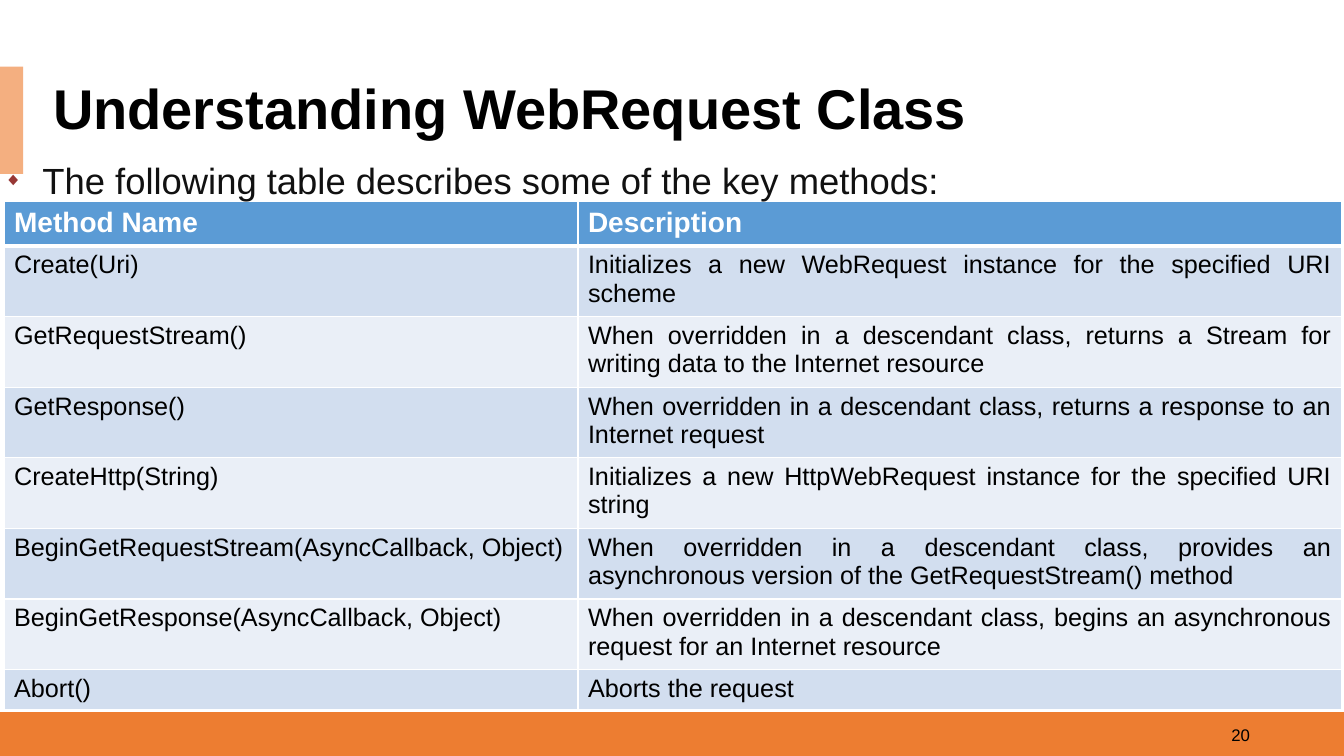
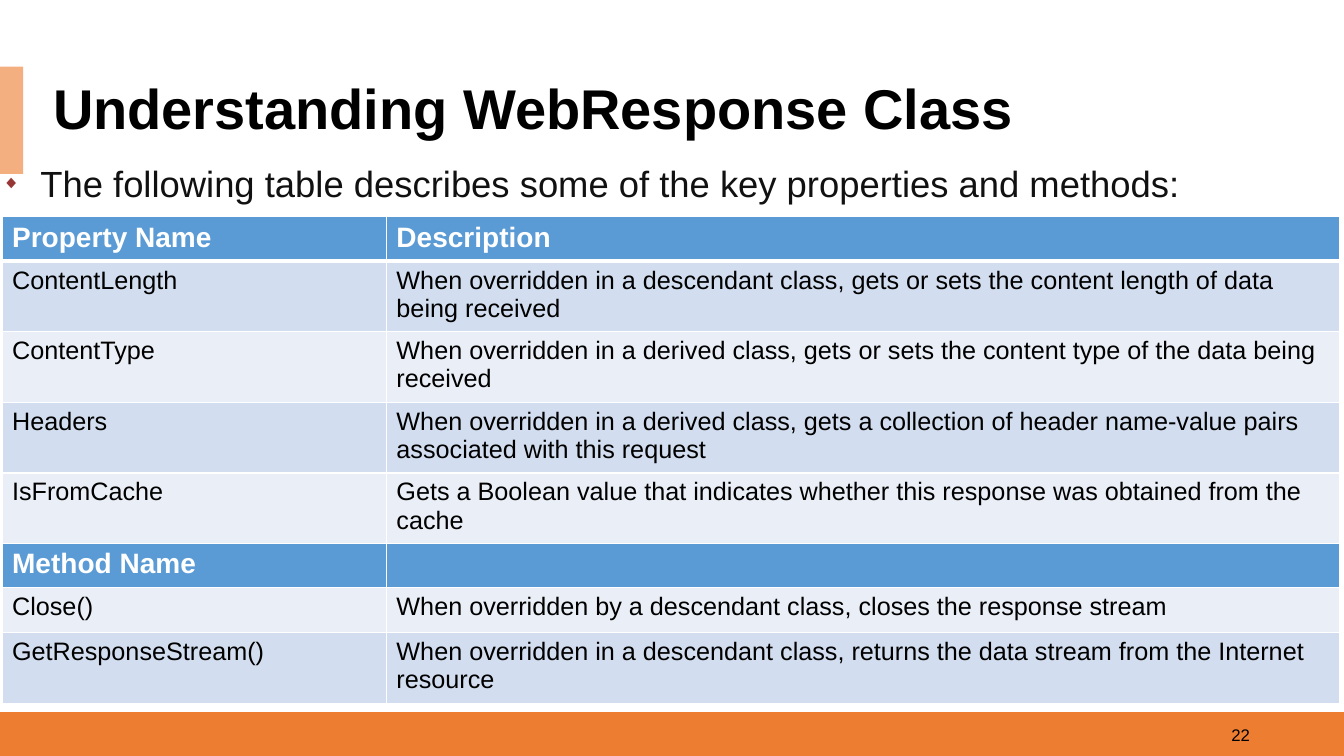
from dataclasses import dataclass

import pptx
import pptx.dml.color
import pptx.enum.shapes
import pptx.enum.text
import pptx.oxml
import pptx.oxml.ns
import pptx.oxml.xmlchemy
import pptx.presentation
import pptx.shapes.autoshape
import pptx.slide
import pptx.table
import pptx.text.text
import pptx.util

RGBColor = pptx.dml.color.RGBColor
ORANGE = RGBColor(0xED, 0x7D, 0x31)
PEACH = RGBColor(0xF4, 0xAF, 0x80)
BLUE = RGBColor(0x5B, 0x9B, 0xD5)
PALE_BLUE = RGBColor(0xD2, 0xDE, 0xEF)
ICE_BLUE = RGBColor(0xEA, 0xEF, 0xF7)
WHITE = RGBColor(0xFF, 0xFF, 0xFF)
BLACK = RGBColor(0x00, 0x00, 0x00)
INK = RGBColor(0x11, 0x11, 0x11)
BULLET_RED = RGBColor(0x97, 0x37, 0x35)

FONT = "Arial"
SLIDE_WIDTH = pptx.util.Inches(13.33)
SLIDE_HEIGHT = pptx.util.Inches(7.5)
ALIGN = pptx.enum.text.PP_ALIGN
ANCHOR = pptx.enum.text.MSO_ANCHOR

# Row heights, in percent of the slide's height
HEADER = 5.87
SUBHEADER = 5.6
TWO_LINES = 8.8
LOOSE_LINE = 6
ONE_LINE = 4.93


@dataclass(frozen=True)
class Box:
    """A rectangle in percent of the slide's width and height."""
    left: float
    top: float
    width: float
    height: float

    def lengths(self) -> tuple[int, int, int, int]:
        return (across(self.left), down(self.top),
                across(self.width), down(self.height))


@dataclass(frozen=True)
class Row:
    name: str
    description: str
    height: float = TWO_LINES
    is_heading: bool = False


@dataclass(frozen=True)
class ClassSlide:
    number: int
    title: str
    lead: str
    lead_box: Box
    table_left: float
    table_top: float
    column_widths: tuple[float, float]
    alignment: ALIGN
    rows: tuple[Row, ...]


FOOTER_BAND = Box(0, 94.2, 100, 5.8)
TITLE_ACCENT = Box(0, 8.8, 1.73, 14.2)
NUMBER_BOX = Box(71.25, 94.53, 22.5, 5.33)
TITLE_BOX = Box(3.2, 10.53, 95.85, 8.4)

CLASS_SLIDES = (
    ClassSlide(
        20, "Understanding WebRequest Class",
        "The following table describes some of the key methods:",
        Box(-0.45, 20.27, 77.1, 7.2), 0.3, 26.67, (42.7, 56.8), ALIGN.JUSTIFY,
        (
            Row("Method Name", "Description", HEADER, True),
            Row("Create(Uri)",
                "Initializes a new WebRequest instance for the specified URI scheme"),
            Row("GetRequestStream()",
                "When overridden in a descendant class, returns a Stream for "
                "writing data to the Internet resource"),
            Row("GetResponse()",
                "When overridden in a descendant class, returns a response to an "
                "Internet request"),
            Row("CreateHttp(String)",
                "Initializes a new HttpWebRequest instance for the specified URI string"),
            Row("BeginGetRequestStream(AsyncCallback, Object)",
                "When overridden in a descendant class, provides an asynchronous "
                "version of the GetRequestStream() method"),
            Row("BeginGetResponse(AsyncCallback, Object)",
                "When overridden in a descendant class, begins an asynchronous "
                "request for an Internet resource"),
            Row("Abort()", "Aborts the request", ONE_LINE),
        )),
    ClassSlide(
        22, "Understanding WebResponse Class",
        "The following table describes some of the key properties and methods:",
        Box(-0.6, 20.67, 94.45, 7.2), 0.15, 28.67, (28.6, 70.9), ALIGN.LEFT,
        (
            Row("Property Name", "Description", HEADER, True),
            Row("ContentLength",
                "When overridden in a descendant class, gets or sets the content "
                "length of data being received"),
            Row("ContentType",
                "When overridden in a derived class, gets or sets the content type "
                "of the data being received"),
            Row("Headers",
                "When overridden in a derived class, gets a collection of header "
                "name-value pairs associated with this request"),
            Row("IsFromCache",
                "Gets a Boolean value that indicates whether this response was "
                "obtained from the cache"),
            Row("Method Name", "", SUBHEADER, True),
            Row("Close()",
                "When overridden by a descendant class, closes the response stream",
                LOOSE_LINE),
            Row("GetResponseStream()",
                "When overridden in a descendant class, returns the data stream "
                "from the Internet resource"),
        )),
)


def across(percent: float) -> int:
    return round(SLIDE_WIDTH * percent / 100)


def down(percent: float) -> int:
    return round(SLIDE_HEIGHT * percent / 100)


def place(shape: pptx.shapes.autoshape.Shape, box: Box) -> None:
    shape.left, shape.top, shape.width, shape.height = box.lengths()


def format_paragraph(paragraph: pptx.text.text._Paragraph, size: float,
                     color: RGBColor, alignment: ALIGN, bold: bool = False) -> None:
    paragraph.alignment = alignment
    for run in paragraph.runs:
        run.font.name = FONT
        run.font.size = pptx.util.Pt(size)
        run.font.bold = bold
        run.font.color.rgb = color


def add_band(slide: pptx.slide.Slide, box: Box, color: RGBColor) -> None:
    band = slide.shapes.add_shape(
        pptx.enum.shapes.MSO_SHAPE.RECTANGLE, *box.lengths())
    band.shadow.inherit = False
    band.fill.solid()
    band.fill.fore_color.rgb = color
    band.line.fill.background()


def add_number(slide: pptx.slide.Slide, number: int) -> None:
    frame = slide.shapes.add_textbox(*NUMBER_BOX.lengths()).text_frame
    frame.word_wrap = True
    frame.vertical_anchor = ANCHOR.MIDDLE
    frame.text = str(number)
    format_paragraph(frame.paragraphs[0], 12, BLACK, ALIGN.RIGHT)


def fill_title(slide: pptx.slide.Slide, text: str) -> None:
    title = slide.shapes.title
    place(title, TITLE_BOX)
    title.fill.solid()
    title.fill.fore_color.rgb = WHITE
    frame = title.text_frame
    frame.auto_size = pptx.enum.text.MSO_AUTO_SIZE.NONE
    frame.vertical_anchor = ANCHOR.MIDDLE
    frame.text = text
    frame.paragraphs[0].line_spacing = 0.9
    format_paragraph(frame.paragraphs[0], 40, BLACK, ALIGN.LEFT, bold=True)


def add_diamond_bullet(paragraph: pptx.text.text._Paragraph) -> None:
    properties = paragraph._p.get_or_add_pPr()
    indent = pptx.util.Inches(0.38)
    properties.set("marL", str(indent))
    properties.set("indent", str(-indent))
    namespace = pptx.oxml.ns.nsdecls("a")
    for markup in (
        f'<a:buClr {namespace}><a:srgbClr val="{BULLET_RED}"/></a:buClr>',
        f'<a:buSzPct {namespace} val="50000"/>',
        f'<a:buFont {namespace} typeface="{FONT}"/>',
        f'<a:buChar {namespace} char="◆"/>',
        f'<a:tabLst {namespace}><a:tab pos="{pptx.util.Inches(0.26)}" algn="l"/></a:tabLst>',
    ):
        properties.append(pptx.oxml.parse_xml(markup))


def fill_lead(slide: pptx.slide.Slide, text: str, box: Box) -> None:
    """Fill the body placeholder and bring it in front of the table."""
    body = slide.placeholders[1]
    place(body, box)
    frame = body.text_frame
    frame.auto_size = pptx.enum.text.MSO_AUTO_SIZE.NONE
    frame.text = text
    paragraph = frame.paragraphs[0]
    add_diamond_bullet(paragraph)
    paragraph.space_before = pptx.util.Pt(0)
    format_paragraph(paragraph, 26, INK, ALIGN.JUSTIFY)
    body.element.getparent().append(body.element)


def add_borders(cell: pptx.table._Cell, top: float, bottom: float) -> None:
    """Draw white borders; widths are in points and the sides are always 1."""
    properties = cell._tc.get_or_add_tcPr()
    for tag, points in (("lnL", 1), ("lnR", 1), ("lnT", top), ("lnB", bottom)):
        properties.append(pptx.oxml.parse_xml(
            f'<a:{tag} {pptx.oxml.ns.nsdecls("a")} w="{pptx.util.Pt(points)}">'
            f'<a:solidFill><a:srgbClr val="{WHITE}"/></a:solidFill></a:{tag}>'))


def add_member_table(slide: pptx.slide.Slide, content: ClassSlide) -> None:
    box = Box(content.table_left, content.table_top, sum(content.column_widths),
              sum(row.height for row in content.rows))
    table = slide.shapes.add_table(
        len(content.rows), len(content.column_widths), *box.lengths()).table
    for column, width in zip(table.columns, content.column_widths):
        column.width = across(width)
    for index, row in enumerate(content.rows):
        table.rows[index].height = down(row.height)
        band_color = PALE_BLUE if index % 2 else ICE_BLUE
        for cell, text in zip(table.rows[index].cells, (row.name, row.description)):
            add_borders(cell, top=3 if index == 1 else 1, bottom=3 if index == 0 else 1)
            cell.fill.solid()
            cell.fill.fore_color.rgb = BLUE if row.is_heading else band_color
            cell.text_frame.text = text
            paragraph = cell.text_frame.paragraphs[0]
            if row.is_heading:
                format_paragraph(paragraph, 20, WHITE, ALIGN.LEFT, bold=True)
            else:
                format_paragraph(paragraph, 18, BLACK, content.alignment)


def add_class_slide(presentation: pptx.presentation.Presentation,
                    content: ClassSlide) -> None:
    slide = presentation.slides.add_slide(presentation.slide_layouts[1])
    add_band(slide, FOOTER_BAND, ORANGE)
    add_band(slide, TITLE_ACCENT, PEACH)
    add_number(slide, content.number)
    fill_title(slide, content.title)
    add_member_table(slide, content)
    fill_lead(slide, content.lead, content.lead_box)


def main() -> None:
    presentation = pptx.Presentation()
    presentation.slide_width = SLIDE_WIDTH
    presentation.slide_height = SLIDE_HEIGHT
    for content in CLASS_SLIDES:
        add_class_slide(presentation, content)
    presentation.save("out.pptx")


if __name__ == "__main__":
    main()
